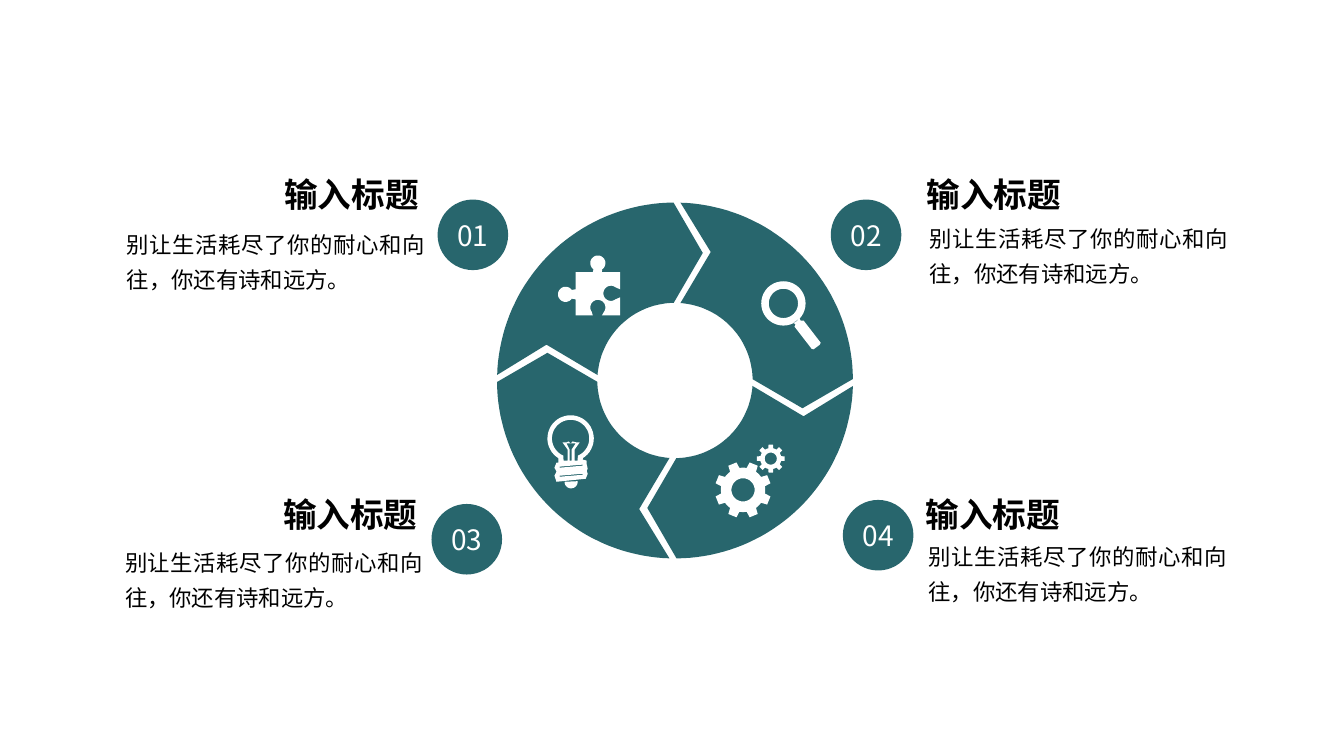
from math import cos, radians, sin

from lxml import etree
from pptx import Presentation
from pptx.dml.color import RGBColor
from pptx.enum.shapes import MSO_SHAPE
from pptx.enum.text import MSO_ANCHOR, MSO_AUTO_SIZE, PP_ALIGN
from pptx.oxml.ns import qn
from pptx.util import Inches, Pt

TEAL = RGBColor(0x28, 0x66, 0x6D)
WHITE = RGBColor(0xFF, 0xFF, 0xFF)
BLACK = RGBColor(0x00, 0x00, 0x00)
FONT = "Noto Sans CJK JP"
OVAL = MSO_SHAPE.OVAL
CENTER, JUSTIFY = PP_ALIGN.CENTER, PP_ALIGN.JUSTIFY
MIDDLE, TOP = MSO_ANCHOR.MIDDLE, MSO_ANCHOR.TOP
FIT = MSO_AUTO_SIZE.SHAPE_TO_FIT_TEXT

# The slide is a grid of 1333 columns by 750 rows.
CELL = Inches(0.01)
COLUMNS, ROWS = 1333, 750
FINE = 10  # outline steps per cell

RING_CENTER = (669.5, 377.5)
OUTER_RADIUS, INNER_RADIUS = 176.5, 77
BADGE_SIZE = 70

TITLE = "输入标题"
BODY = "别让生活耗尽了你的耐心和向往，你还有诗和远方。"
# number, badge, title and body positions in (column, row)
ITEMS = [
    ("01", (434, 198), (272, 168), (126, 221)),
    ("02", (824, 198), (909, 168), (922, 215)),
    ("03", (428, 500), (271, 485), (124, 537)),
    ("04", (836, 496), (908, 485), (921, 531)),
]
NUMBER_FORMAT = {"size": Pt(20), "name": FONT, "color": WHITE}
TITLE_FORMAT = {"size": Pt(24), "name": FONT, "bold": True, "color": BLACK}
BODY_FORMAT = {"size": Pt(16), "name": FONT, "color": BLACK}


def cells(*counts):
    return [int(count * CELL) for count in counts]


def arc(center, radius, start, end, steps=40):
    """Points on a circle; degrees run clockwise from the right."""
    angles = [radians(start + (end - start) * i / steps) for i in range(steps + 1)]
    return [(center[0] + radius * cos(a), center[1] + radius * sin(a)) for a in angles]


def gear(center, outer, root, hole, first_tooth, teeth=8):
    outline = []
    for tooth in range(teeth):
        angle = first_tooth + 360 * tooth / teeth
        outline += arc(center, outer, angle - 9, angle + 9, 1)
        outline += arc(center, root, angle + 13, angle + 32, 3)
    return [outline, arc(center, hole, 0, 360)]


def fill_plain(shape, color):
    shape.shadow.inherit = False
    shape.fill.solid()
    shape.fill.fore_color.rgb = color
    shape.line.fill.background()


def add_outline(slide, contours, color):
    """Draw closed contours as one shape; an inner contour cuts a hole."""
    fine = [[(x * FINE, y * FINE) for x, y in contour] for contour in contours]
    builder = slide.shapes.build_freeform(*fine[0][0], scale=CELL / FINE)
    for index, points in enumerate(fine):
        if index:
            builder.move_to(*points[0])
        builder.add_line_segments(points[1:], close=True)
    fill_plain(builder.convert_to_shape(), color)


def write(shape, text, formats, alignment, anchor=TOP, line_spacing=None, inset=None):
    frame = shape.text_frame
    frame.word_wrap = True
    frame.vertical_anchor = anchor
    if inset is not None:
        for side in ("left", "top", "right", "bottom"):
            setattr(frame, f"margin_{side}", inset)
    paragraph = frame.paragraphs[0]
    paragraph.alignment = alignment
    if line_spacing:
        paragraph.line_spacing = line_spacing
    run = paragraph.add_run()
    run.text = text
    for name, value in formats.items():
        if name == "color":
            run.font.color.rgb = value
        else:
            setattr(run.font, name, value)
    east_asian = etree.SubElement(run._r.get_or_add_rPr(), qn("a:ea"))
    east_asian.set("typeface", FONT)


def add_text(slide, position, size, text, formats, **layout):
    box = slide.shapes.add_textbox(*cells(*position, *size))
    write(box, text, formats, JUSTIFY, **layout)
    box.text_frame.auto_size = FIT


def add_badge(slide, position, number):
    badge = slide.shapes.add_shape(OVAL, *cells(*position, BADGE_SIZE, BADGE_SIZE))
    fill_plain(badge, TEAL)
    write(badge, number, NUMBER_FORMAT, CENTER, anchor=MIDDLE, inset=0)


def add_ring(slide):
    """Four arrow segments, each a quarter turn from the last."""
    segment = (
        arc((0, 0), OUTER_RADIUS, -0.5, -88.2)
        + [(35.5, -127.5)]
        + arc((0, 0), INNER_RADIUS, -86, -1)
        + [(126.5, 27.5)]
    )
    for _ in range(4):
        placed = [(RING_CENTER[0] + x, RING_CENTER[1] + y) for x, y in segment]
        add_outline(slide, [placed], TEAL)
        segment = [(-y, x) for x, y in segment]


def puzzle():
    return [
        [(571, 270), (588, 270)] + arc((593, 261), 7.5, 125, 415)
        + [(597, 270), (615, 270), (615, 287)] + arc((606, 291), 7.5, -55, -305)
        + [(615, 295), (615, 313), (597, 313)] + arc((593, 305), 7.5, 35, -215)
        + [(588, 313), (571, 313), (571, 297)] + arc((561, 292), 7.5, 35, 325)
        + [(571, 287)]
    ]


def magnifier():
    lens = (777, 301)
    handle = [(787, 320), (789, 322), (788, 324), (805, 346), (807, 346.5),
              (813, 342), (814, 340), (797, 318), (794, 318), (793, 316)]
    return [arc(lens, 22, 0, 360), arc(lens, 14.5, 0, 360), handle]


def bulb():
    glass = (566, 435)
    body = arc(glass, 23, 122, 418) + [
        (578, 456), (582, 457), (582, 461), (583, 465), (582, 467), (583, 470),
        (581, 475), (552, 478), (550, 472), (552, 468), (550, 464), (552, 459),
        (554, 459)]
    inside = arc(glass, 18.5, 113, 427) + [(573, 457), (559, 457)]
    filament = [(558, 439), (562, 439), (564, 438), (566, 440), (568, 438),
                (572, 439), (575, 439), (570, 446), (570, 457), (563, 457), (563, 446)]
    filament_gap = [(562, 440), (571, 440), (567, 446), (567, 457), (565, 457), (565, 446)]
    slits = [[(555, y + 2), (578, y), (578, y + 1), (555, y + 3)] for y in (461, 470)]
    cap = arc((566.5, 478), 6.5, -5, 180)
    return [body, inside, filament, filament_gap, *slits, cap]


def gears():
    return gear((737, 486), 28, 22, 11.5, 22.5) + gear((764.5, 455), 14, 10.5, 6, 0)


def main():
    presentation = Presentation()
    presentation.slide_width, presentation.slide_height = cells(COLUMNS, ROWS)
    slide = presentation.slides.add_slide(presentation.slide_layouts[6])
    add_ring(slide)
    for number, badge, title, body in ITEMS:
        add_badge(slide, badge, number)
        add_text(slide, body, (296, 66), BODY, BODY_FORMAT, line_spacing=1.3, inset=0)
        add_text(slide, title, (155, 50), TITLE, TITLE_FORMAT)
    for icon in (puzzle(), magnifier(), gears(), bulb()):
        add_outline(slide, icon, WHITE)
    presentation.save("out.pptx")


if __name__ == "__main__":
    main()
